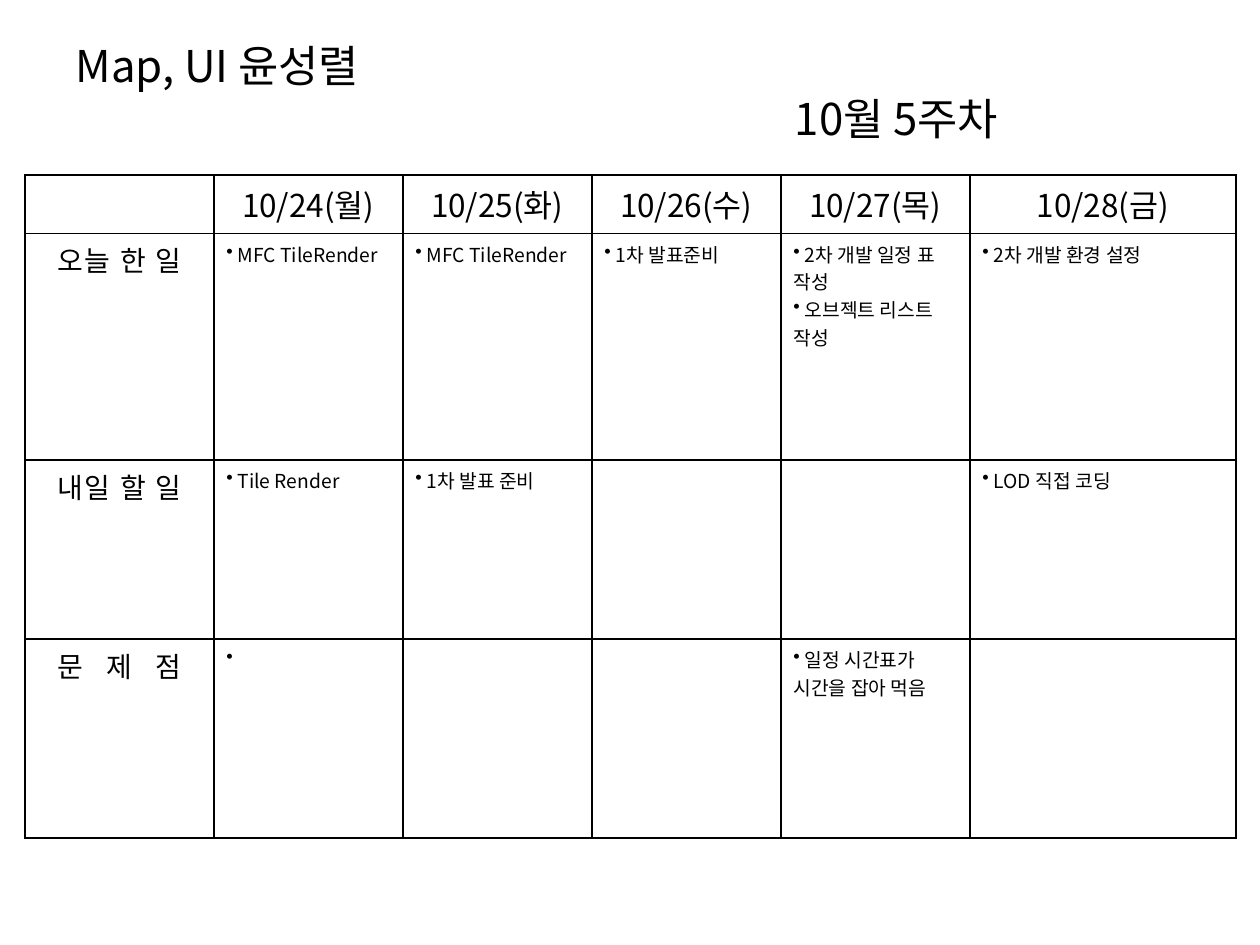
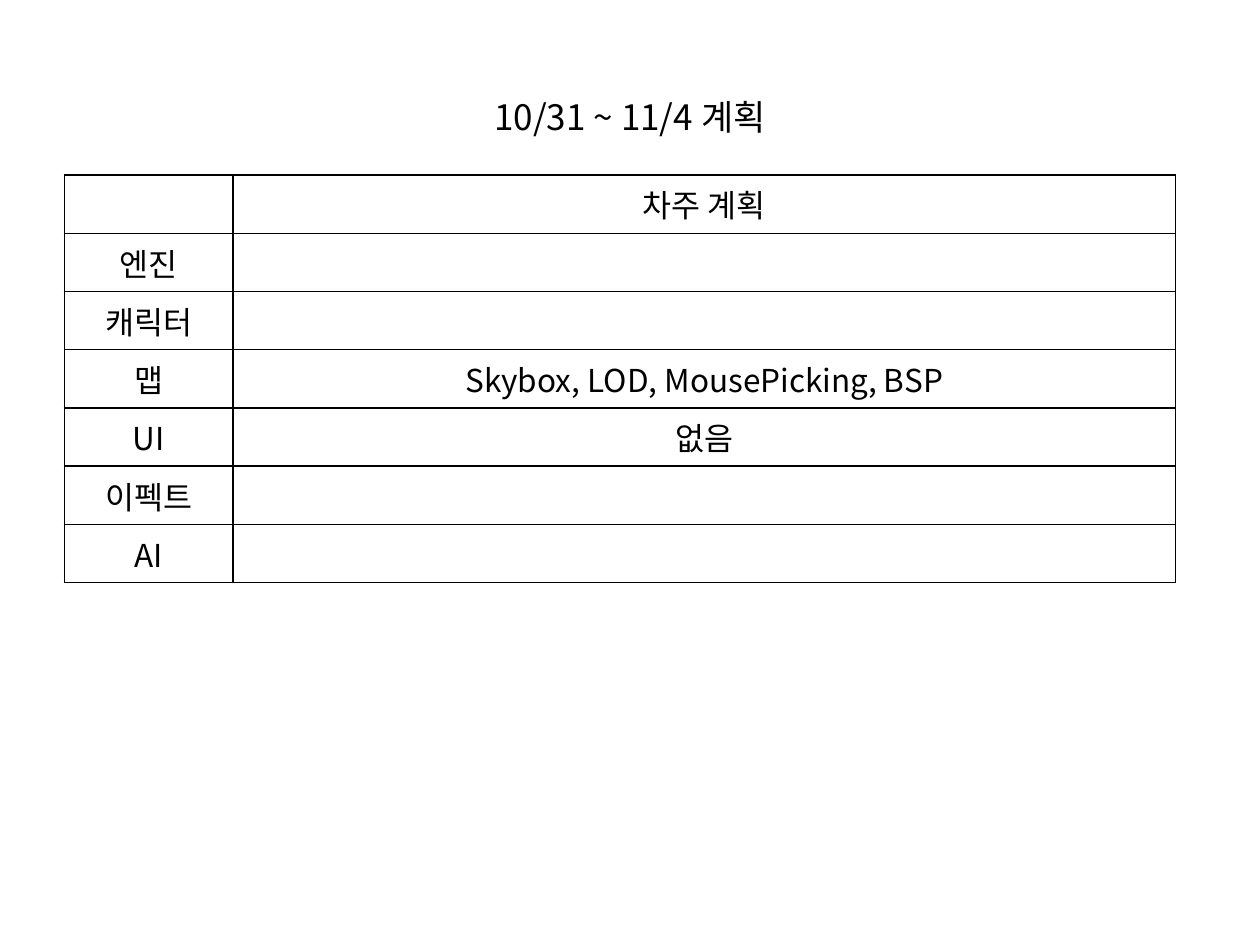
from dataclasses import dataclass
from lxml.etree import SubElement
from pptx import Presentation
from pptx.dml.color import RGBColor
from pptx.enum.text import MSO_ANCHOR, MSO_AUTO_SIZE, PP_ALIGN
from pptx.oxml.ns import qn
from pptx.util import Pt


@dataclass(frozen=True)
class Theme:
    ink: RGBColor = RGBColor(0, 0, 0)
    font: str = "Noto Sans CJK KR"
    week_title: int = 25
    plan_title: int = 20
    heading: int = 18
    label: int = 16
    note: int = 11
    border: int = 1


theme = Theme()


def format_para(para, size, align, bullet=False, tracking=0):
    para.alignment = align
    if bullet:
        SubElement(para._p.get_or_add_pPr(), qn("a:buChar"), char="•")
    for span in para.runs:
        span.font.size = Pt(size)
        span.font.color.rgb = theme.ink
        span.font.name = theme.font
        properties = span.font._element
        SubElement(properties, qn("a:ea"), typeface=theme.font)
        if tracking:
            properties.set("spc", str(tracking * 100))


def add_grid(page, left, top, widths, heights):
    frame = page.shapes.add_table(len(heights), len(widths), Pt(left), Pt(top),
                                  Pt(sum(widths)), Pt(sum(heights)))
    grid = frame.table
    grid.first_row = grid.horz_banding = False
    for column, width in zip(grid.columns, widths):
        column.width = Pt(width)
    for row, height in zip(grid.rows, heights):
        row.height = Pt(height)
    for cell in grid.iter_cells():
        properties = cell._tc.get_or_add_tcPr()
        for side in ("a:lnL", "a:lnR", "a:lnT", "a:lnB"):
            line = SubElement(properties, qn(side), w=str(Pt(theme.border)))
            fill = SubElement(line, qn("a:solidFill"))
            SubElement(fill, qn("a:srgbClr"), val=str(theme.ink))
        cell.fill.background()
    return grid


deck = Presentation()
deck.slide_width, deck.slide_height = Pt(720), Pt(540)

# Titles: text, height, size, alignment
titles = [
    ("Map, UI 윤성렬\n10월 5주차", 61.2, theme.week_title, PP_ALIGN.LEFT),
    ("10/31 ~ 11/4 계획", 90, theme.plan_title, PP_ALIGN.CENTER),
]
for text, height, size, align in titles:
    page = deck.slides.add_slide(deck.slide_layouts[5])
    title = page.shapes.title
    title.left, title.top, title.width, title.height = Pt(36), Pt(21.6), Pt(648), Pt(height)
    title.text_frame.text = text
    title.text_frame.auto_size = MSO_AUTO_SIZE.NONE
    title.text_frame.vertical_anchor = MSO_ANCHOR.MIDDLE
    for para in title.text_frame.paragraphs:
        format_para(para, size, align)

week_page, plan_page = deck.slides

# The week number stands at the right, on a tight second line
week_lines = week_page.shapes.title.text_frame.paragraphs
for para in week_lines:
    para.line_spacing = Pt(30)
week_lines[1]._p.get_or_add_pPr().set("marL", str(Pt(411)))

# Slide 1: work log, one column a day
days = ["10/24(월)", "10/25(화)", "10/26(수)", "10/27(목)", "10/28(금)"]
log = [
    ("오늘 한 일", 1, [" MFC TileRender", " MFC TileRender", " 1차 발표준비",
                   " 2차 개발 일정 표 작성\n 오브젝트 리스트 작성", " 2차 개발 환경 설정"]),
    ("내일 할 일", 1, [" Tile Render", " 1차 발표 준비", "", "", " LOD 직접 코딩"]),
    ("문 제 점", 5, [" ", "", "", " 일정 시간표가 시간을 잡아 먹음", ""]),
]
week_grid = add_grid(week_page, 14.2, 100, [108] * 5 + [152], [26.6, 129.6, 102.2, 113.8])
for column, day in enumerate(days, 1):
    box = week_grid.cell(0, column).text_frame
    box.text = day
    format_para(box.paragraphs[0], theme.heading, PP_ALIGN.CENTER)
for row, (label, tracking, notes) in enumerate(log, 1):
    box = week_grid.cell(row, 0).text_frame
    box.text = label
    format_para(box.paragraphs[0], theme.label, PP_ALIGN.CENTER, tracking=tracking)
    for column, note in enumerate(notes, 1):
        if note:
            box = week_grid.cell(row, column).text_frame
            box.text = note
            for para in box.paragraphs:
                format_para(para, theme.note, PP_ALIGN.LEFT, bullet=True)

# Slide 2: plan for the next week, one row a field
plan = [("", "차주 계획"), ("엔진", ""), ("캐릭터", ""),
        ("맵", "Skybox, LOD, MousePicking, BSP"), ("UI", "없음"),
        ("이펙트", ""), ("AI", "")]
plan_grid = add_grid(plan_page, 36.8, 100, [96.4, 538.6], [29.2] * len(plan))
for row, texts in enumerate(plan):
    for column, text in enumerate(texts):
        if text:
            box = plan_grid.cell(row, column).text_frame
            box.text = text
            format_para(box.paragraphs[0], theme.heading, PP_ALIGN.CENTER)

deck.save("out.pptx")
